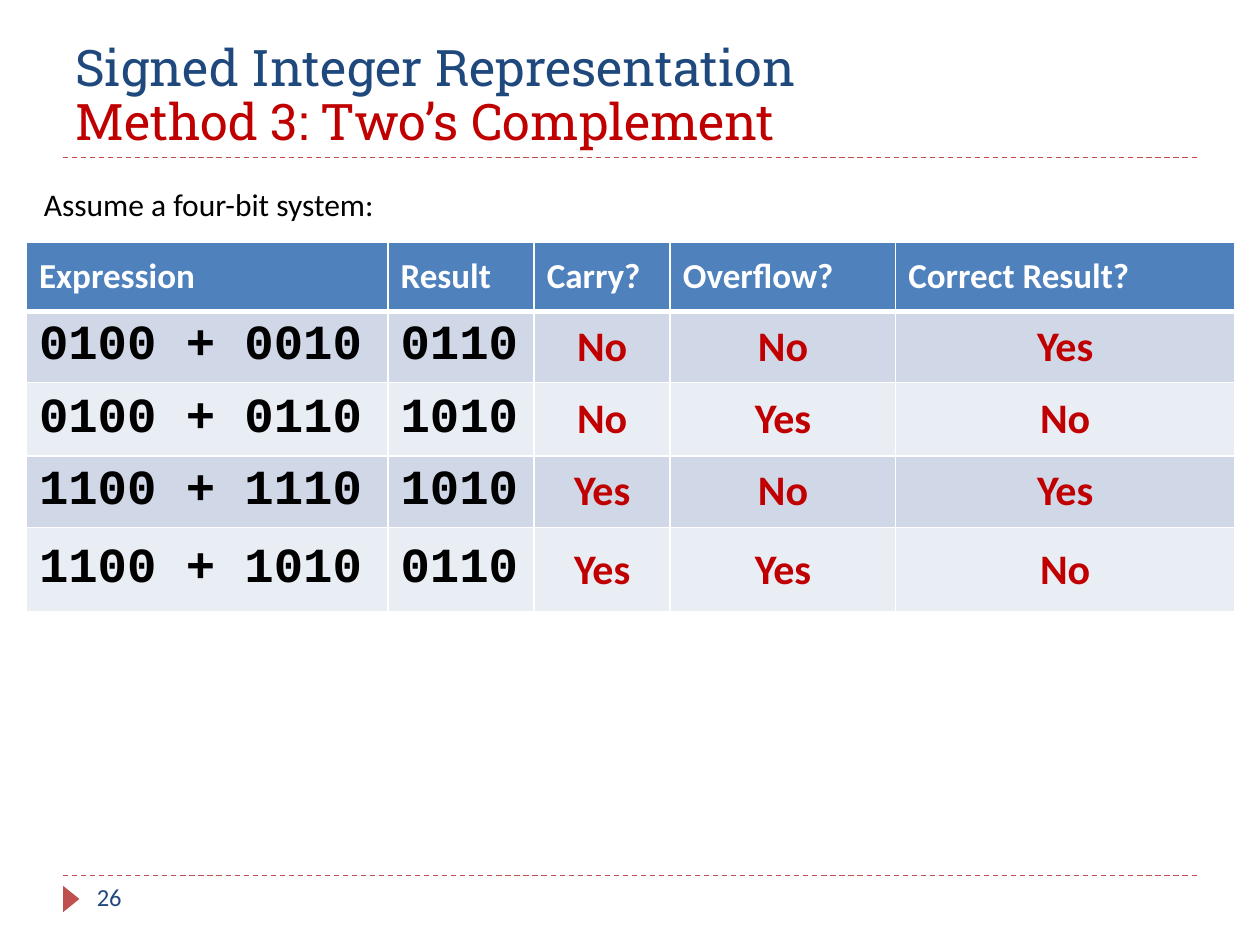
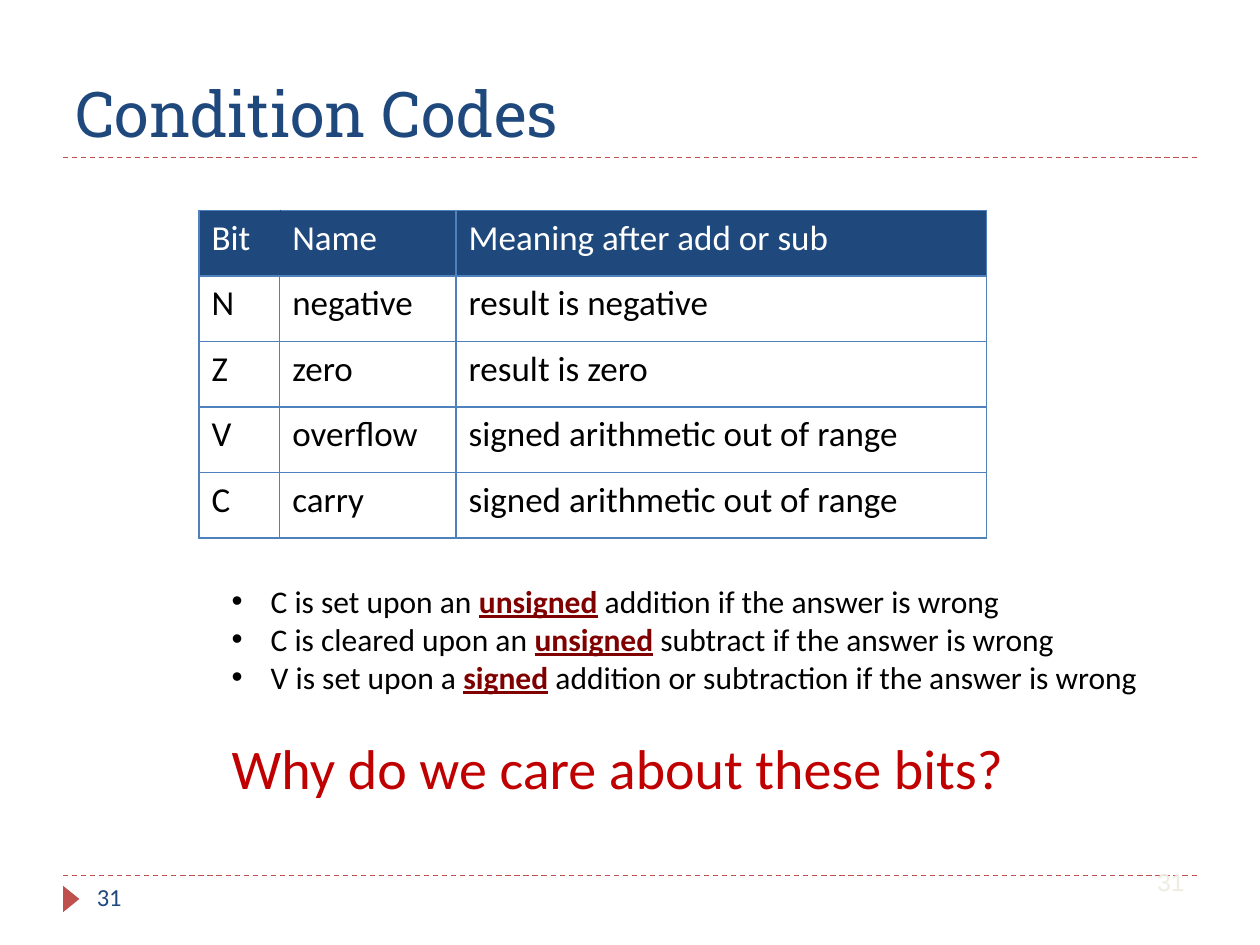
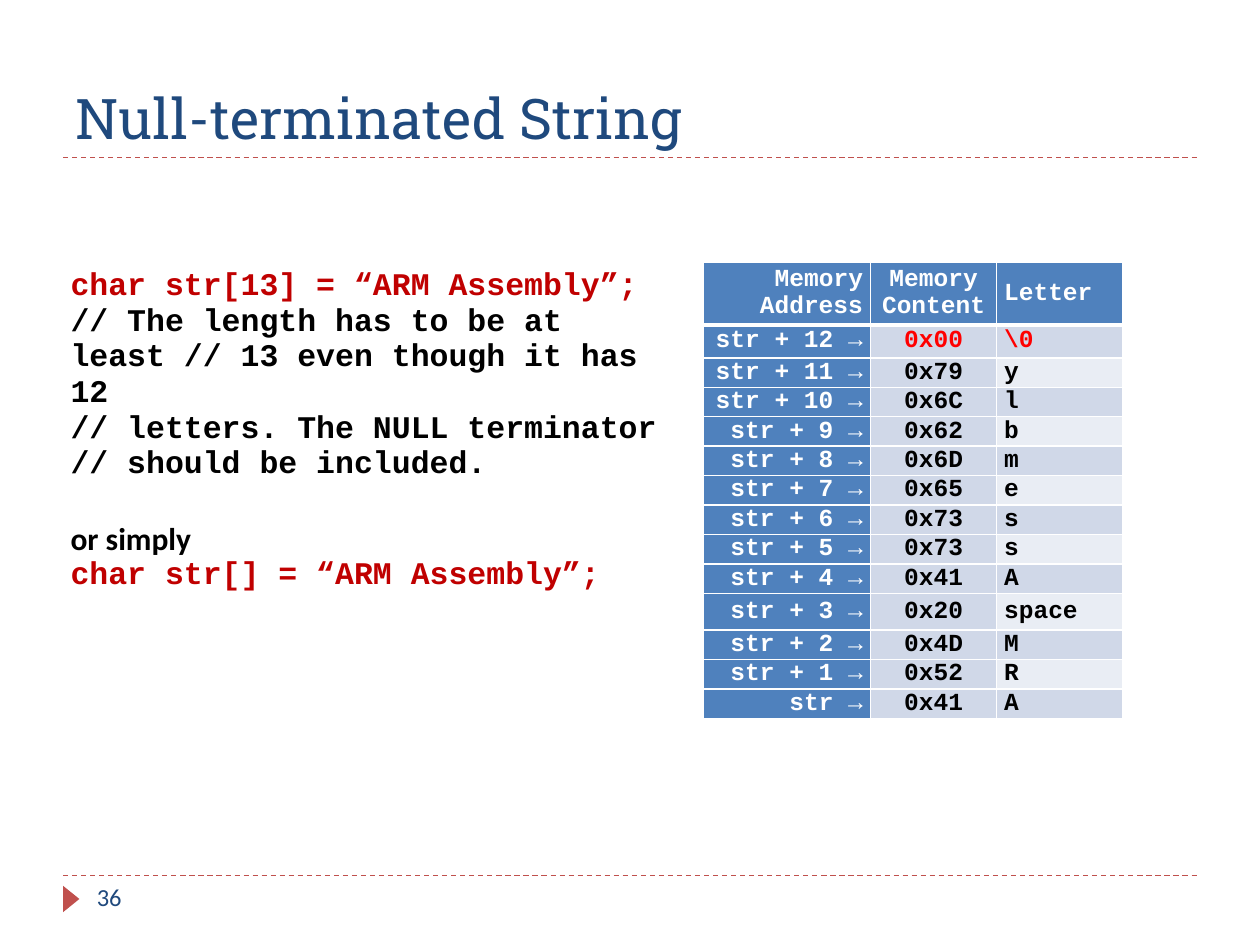
from lxml.etree import SubElement
from pptx import Presentation
from pptx.dml.color import RGBColor
from pptx.enum.dml import MSO_LINE
from pptx.enum.shapes import MSO_CONNECTOR, MSO_SHAPE
from pptx.enum.text import MSO_ANCHOR, PP_ALIGN
from pptx.oxml.ns import qn
from pptx.util import Inches, Pt

NAVY = RGBColor(0x1F, 0x49, 0x7D)
BLUE = RGBColor(0x4F, 0x81, 0xBD)
BAND_DARK = RGBColor(0xD0, 0xD8, 0xE8)
BAND_LIGHT = RGBColor(0xE9, 0xED, 0xF4)
BRICK = RGBColor(0xC0, 0x50, 0x4D)
CRIMSON = RGBColor(0xC0, 0x00, 0x00)
MAROON = RGBColor(0x80, 0x00, 0x00)
RED = RGBColor(0xFF, 0x00, 0x00)
IVORY = RGBColor(0xEE, 0xEC, 0xE1)
BLACK = RGBColor(0x00, 0x00, 0x00)
WHITE = RGBColor(0xFF, 0xFF, 0xFF)
BODY, CODE, HEADING = "Calibri", "Courier New", "Roboto Slab"


def add_text(page, at, spans, size, name=BODY, wrap=True):
    """Add a text box whose one paragraph holds (text, colour) spans, one a line."""
    box = page.shapes.add_textbox(*map(Inches, at))
    box.text_frame.word_wrap = wrap
    para = box.text_frame.paragraphs[0]
    para.font.size, para.font.name = Pt(size), name
    for index, (text, colour) in enumerate(spans):
        if index:
            para.add_line_break()
        span = para.add_run()
        span.text = text
        span.font.color.rgb = colour
    return box.text_frame


def add_grid(page, at, widths, heights, rows, line, header_rule=1, narrow=False):
    """Add a table with ruled cells; header_rule is the width under the first row."""
    frame = page.shapes.add_table(len(rows), len(widths), *map(Inches, at),
                                  Inches(sum(widths)), Inches(sum(heights)))
    table = frame.table
    table.first_row = table.horz_banding = False
    for column, width in zip(table.columns, widths):
        column.width = Inches(width)
    for r, (row, height, texts) in enumerate(zip(table.rows, heights, rows)):
        row.height = Inches(height)
        for cell, text in zip(row.cells, texts):
            cell.text = text
            cell.fill.background()
            if narrow:
                cell.margin_left = cell.margin_right = Inches(0.06)
                cell.margin_top = cell.margin_bottom = 0
            properties = cell._tc.get_or_add_tcPr()
            for index, side in enumerate("LRTB"):
                thick = (r, side) in ((0, "B"), (1, "T"))
                edge = SubElement(properties, qn(f"a:ln{side}"),
                                  w=str(Pt(header_rule if thick else 1)))
                solid = SubElement(edge, qn("a:solidFill"))
                SubElement(solid, qn("a:srgbClr"), val=str(line))
                properties.insert(index, edge)
    return table


deck = Presentation()
deck.slide_width, deck.slide_height = Inches(10), Inches(7.5)

# Title, dashed rules, marker and page number shared by all slides
headings = [
    ("26", 28.8, [("Signed Integer Representation", NAVY),
                  ("Method 3: Two’s Complement", CRIMSON)]),
    ("31", 36, [("Condition Codes", NAVY)]),
    ("36", 32, [("Null-terminated String", NAVY)]),
]
pages = []
for number, size, title in headings:
    page = deck.slides.add_slide(deck.slide_layouts[6])
    pages.append(page)
    for y in (6.95, 1.25):
        rule = page.shapes.add_connector(MSO_CONNECTOR.STRAIGHT, Inches(0.5), Inches(y),
                                         Inches(9.5), Inches(y))
        rule.line.color.rgb = BRICK
        rule.line.width = Pt(0.75)
        rule.line.dash_style = MSO_LINE.DASH
        SubElement(rule._element.spPr, qn("a:effectLst"))
    marker = page.shapes.add_shape(MSO_SHAPE.ISOSCELES_TRIANGLE, Inches(0.46), Inches(7.07),
                                   Inches(0.21), Inches(0.13))
    marker.rotation = 90
    marker.shadow.inherit = False
    marker.fill.solid()
    marker.fill.fore_color.rgb = BRICK
    marker.line.fill.background()
    add_text(page, (0.67, 6.95, 2.17, 0.4), [(number, NAVY)], 14)
    heading = add_text(page, (0.5, 0.17, 9, 1.08), title, size, HEADING)
    heading.vertical_anchor = MSO_ANCHOR.BOTTOM
    heading.paragraphs[0].line_spacing = 0.9
sums_page, codes_page, string_page = pages

# Two's complement sums
add_text(sums_page, (0.25, 1.42, 2.84, 0.4), [("Assume a four-bit system:", BLACK)], 18,
         wrap=False)
sums = [
    ("Expression", "Result", "Carry?", "Overflow?", "Correct Result?"),
    ("0100 + 0010", "0110", "No", "No", "Yes"),
    ("0100 + 0110", "1010", "No", "Yes", "No"),
    ("1100 + 1110", "1010", "Yes", "No", "Yes"),
    ("1100 + 1010", "0110", "Yes", "Yes", "No"),
]
sums_table = add_grid(sums_page, (0.21, 1.92), (2.87, 1.16, 1.08, 1.79, 2.69),
                      (0.55, 0.55, 0.58, 0.57, 0.67), sums, WHITE, header_rule=3)
for r, row in enumerate(sums_table.rows):
    for c, cell in enumerate(row.cells):
        if r == 0:
            fill, colour, size, name = BLUE, WHITE, 20, BODY
        else:
            fill = BAND_DARK if r % 2 else BAND_LIGHT
            colour, size, name = (BLACK, 28, CODE) if c < 2 else (CRIMSON, 24, BODY)
        cell.fill.solid()
        cell.fill.fore_color.rgb = fill
        cell.vertical_anchor = MSO_ANCHOR.MIDDLE
        para = cell.text_frame.paragraphs[0]
        para.alignment = PP_ALIGN.CENTER if r and c >= 2 else PP_ALIGN.LEFT
        para.font.size, para.font.name, para.font.bold = Pt(size), name, True
        para.font.color.rgb = colour

# Condition codes
faint_number = add_text(codes_page, (7.17, 6.83, 2.33, 0.52), [("31", IVORY)], 14, "Arial")
faint_number.paragraphs[0].alignment = PP_ALIGN.RIGHT

rules = [
    ("C is set upon an ", "unsigned", " addition if the answer is wrong"),
    ("C is cleared upon an ", "unsigned", " subtract if the answer is wrong"),
    ("V is set upon a ", "signed", " addition or subtraction if the answer is wrong"),
]
notes = codes_page.shapes.add_textbox(Inches(1.74), Inches(4.47), Inches(7.67),
                                      Inches(2.26)).text_frame
notes.word_wrap = True
notes.margin_top = Inches(0.15)
for index, (before, key, after) in enumerate(rules):
    para = notes.add_paragraph() if index else notes.paragraphs[0]
    properties = para._p.get_or_add_pPr()
    properties.set("marL", str(Inches(0.31)))
    properties.set("indent", str(Inches(-0.31)))
    SubElement(properties, qn("a:buFont"), typeface="Arial")
    SubElement(properties, qn("a:buChar"), char="•")
    para.font.size, para.font.name = Pt(18), BODY
    for text in (before, key, after):
        span = para.add_run()
        span.text = text
        span.font.color.rgb = MAROON if text == key else BLACK
        if text == key:
            span.font.bold = span.font.underline = True
question = notes.add_paragraph()
question.text = "Why do we care about these bits?"
question.space_before = Pt(22)
question.font.size, question.font.name = Pt(32), BODY
question.font.color.rgb = CRIMSON

codes = [
    ("Bit", "Name", "Meaning after add or sub"),
    ("N", "negative", "result is negative"),
    ("Z", "zero", "result is zero"),
    ("V", "overflow", "signed arithmetic out of range"),
    ("C", "carry", "signed arithmetic out of range"),
]
codes_table = add_grid(codes_page, (1.58, 1.67), (0.64, 1.4, 4.21), [0.52] * 5, codes, BLUE)
for r, row in enumerate(codes_table.rows):
    for cell in row.cells:
        if r == 0:
            cell.fill.solid()
            cell.fill.fore_color.rgb = NAVY
        para = cell.text_frame.paragraphs[0]
        para.alignment = PP_ALIGN.JUSTIFY
        para.font.size, para.font.name = Pt(20), BODY
        para.font.color.rgb = BLACK if r else WHITE
for column, side in ((0, "R"), (1, "L")):
    seam = codes_table.cell(0, column)._tc.tcPr.find(qn(f"a:ln{side}"))
    seam.set("w", str(Pt(0.25)))
    seam[0][0].set("val", str(NAVY))

# String in memory
contents = [
    ("0x00", "\\0"), ("0x79", "y"), ("0x6C", "l"), ("0x62", "b"), ("0x6D", "m"),
    ("0x65", "e"), ("0x73", "s"), ("0x73", "s"), ("0x41", "A"), ("0x20", "space"),
    ("0x4D", "M"), ("0x52", "R"), ("0x41", "A"),
]
memory = [("Memory Address", "Memory Content", "Letter")]
for index, (content, letter) in enumerate(contents):
    offset = len(contents) - 1 - index
    memory.append((f"str + {offset} →" if offset else "str →", content, letter))
heights = [0.5, 0.26] + [0.22] * 8 + [0.29] + [0.22] * 3
memory_table = add_grid(string_page, (5.58, 2.08), (1.33, 1, 1), heights, memory, WHITE,
                        header_rule=3, narrow=True)
alignments = (PP_ALIGN.RIGHT, PP_ALIGN.CENTER, PP_ALIGN.JUSTIFY)
for r, row in enumerate(memory_table.rows):
    for c, cell in enumerate(row.cells):
        if r == 0 or c == 0:
            fill, colour = BLUE, WHITE
        else:
            fill = BAND_DARK if c == 1 or r % 2 else BAND_LIGHT
            colour = RED if r == 1 else BLACK
        cell.fill.solid()
        cell.fill.fore_color.rgb = fill
        cell.vertical_anchor = MSO_ANCHOR.MIDDLE
        para = cell.text_frame.paragraphs[0]
        para.alignment = alignments[c]
        para.font.size, para.font.name, para.font.bold = Pt(14), CODE, True
        para.font.color.rgb = colour

code_lines = [
    ("char str[13] = “ARM Assembly”;", CODE, CRIMSON),
    ("// The length has to be at least // 13 even though it has 12", CODE, BLACK),
    ("// letters. The NULL terminator", CODE, BLACK),
    ("// should be included.", CODE, BLACK),
    ("or simply", BODY, BLACK),
    ("char str[] = “ARM Assembly”;", CODE, CRIMSON),
]
code_text = "\n".join(text for text, name, colour in code_lines)
code_table = add_grid(string_page, (0.5, 2.08), [4.83], [1.33], [[code_text]], WHITE,
                      header_rule=3, narrow=True)
code_cell = code_table.cell(0, 0)
code_cell.fill.solid()
code_cell.fill.fore_color.rgb = WHITE
code_cell.vertical_anchor = MSO_ANCHOR.MIDDLE
for para, (text, name, colour) in zip(code_cell.text_frame.paragraphs, code_lines):
    if name == BODY:
        para.space_before = Pt(21)
    para.font.size, para.font.name, para.font.bold = Pt(18), name, True
    para.font.color.rgb = colour

deck.save("out.pptx")
